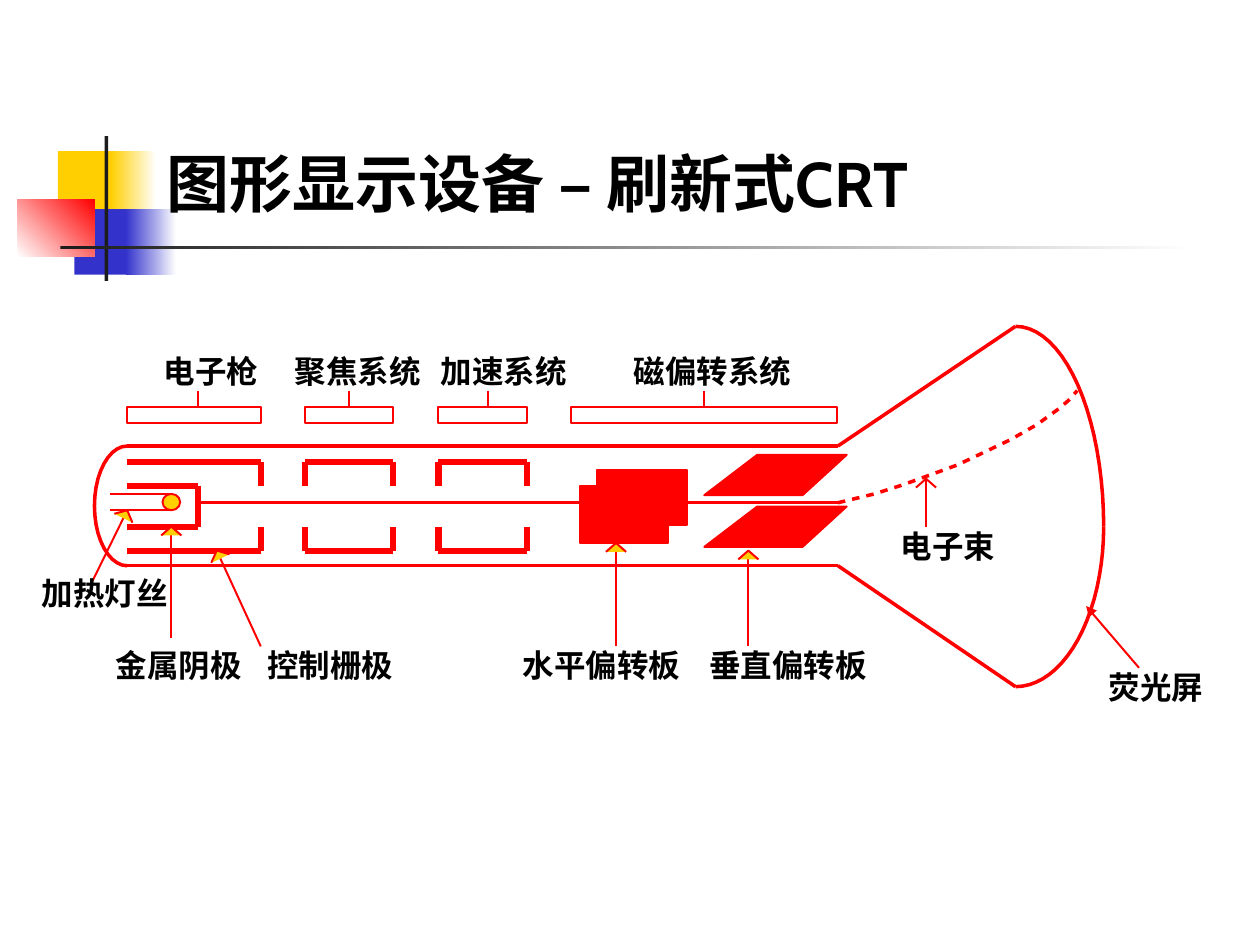
import math

import pptx
import pptx.dml.color
import pptx.enum.dml
import pptx.enum.shapes
import pptx.enum.text
import pptx.util
from lxml import etree
from pptx.oxml.ns import qn

RED = pptx.dml.color.RGBColor(0xFF, 0x00, 0x00)
YELLOW = pptx.dml.color.RGBColor(0xFF, 0xCF, 0x01)
BLUE = pptx.dml.color.RGBColor(0x33, 0x33, 0xCC)
CHARCOAL = pptx.dml.color.RGBColor(0x1C, 0x1C, 0x1C)
WHITE = pptx.dml.color.RGBColor(0xFF, 0xFF, 0xFF)
BLACK = pptx.dml.color.RGBColor(0x00, 0x00, 0x00)

CJK_FONT = "Noto Sans CJK SC"
CM_PER_INCH = 2.54
THIN, MEDIUM, THICK = 1.13, 2, 3.5

TITLE = [("图形显示设备 ", "Cabin"), ("– ", "Arial"), ("刷新式CRT", "Cabin")]
DECORATION = [
    ((0.46, 1.2, 0.48, 0.52), (YELLOW,), 0),
    ((0.88, 1.2, 0.36, 0.52), (YELLOW, WHITE), 0),
    ((0.59, 1.66, 0.46, 0.52), (BLUE,), 0),
    ((1, 1.66, 0.4, 0.52), (BLUE, WHITE), 0),
    ((0.14, 1.58, 0.61, 0.46), (WHITE, RED), 45),
    ((0.83, 1.08, 0.03, 1.15), (CHARCOAL,), 0),
    ((0.48, 1.95, 9, 0.03), (CHARCOAL, WHITE), 0),
]
LABELS = [
    ("电子枪", 1.3, 2.79), ("聚焦系统", 2.34, 2.79),
    ("加速系统", 3.5, 2.79), ("磁偏转系统", 5.03, 2.79),
    ("加热灯丝", 0.33, 4.56), ("金属阴极", 0.92, 5.13),
    ("控制栅极", 2.12, 5.13), ("水平偏转板", 4.15, 5.13),
    ("垂直偏转板", 5.63, 5.13), ("电子束", 7.15, 4.18), ("荧光屏", 8.8, 5.3),
]
SECTIONS = [(1.01, 2.07, 1.57), (2.42, 3.12, 2.77), (3.48, 4.18, 3.87), (4.53, 6.64, 5.59)]
ELECTRODES = [(1.01, 2.07, (2.07,)), (2.42, 3.12, (2.42, 3.12)), (3.48, 4.18, (3.48, 4.18))]
POINTERS = [
    ((1.01, 4.05), (0.73, 4.62), YELLOW),
    ((1.36, 4.18), (1.36, 5.06), YELLOW),
    ((1.72, 4.37), (2.07, 5.13), YELLOW),
    ((4.89, 4.31), (4.89, 5.13), YELLOW),
    ((5.94, 4.37), (5.94, 5.13), YELLOW),
    ((7.35, 3.8), (7.35, 4.18), None),
]
BEAM = [
    (6.65, 3.99), (6.94, 3.92), (7.16, 3.85), (7.38, 3.77), (7.6, 3.69),
    (7.81, 3.59), (8.02, 3.49), (8.23, 3.37), (8.41, 3.24), (8.49, 3.17), (8.55, 3.1),
]

TUBE_LEFT, TUBE_RIGHT = 1.01, 6.65
TUBE_TOP, TUBE_BOTTOM, AXIS = 3.54, 4.49, 3.99
CONE_X, CONE_TOP, CONE_BOTTOM = 8.06, 2.59, 5.45
SCREEN_MIDDLE, SCREEN_DEPTH = 4.18, 0.7


def length(inches):
    return pptx.util.Cm(inches * CM_PER_INCH)


def paint(shape, fill=None, line=None, weight=THIN):
    shape.shadow.inherit = False
    if fill is None:
        shape.fill.background()
    else:
        shape.fill.solid()
        shape.fill.fore_color.rgb = fill
    if line is None:
        shape.line.fill.background()
    else:
        shape.line.color.rgb = line
        shape.line.width = pptx.util.Pt(weight)
    return shape


def add_block(page, at, kind=pptx.enum.shapes.MSO_SHAPE.RECTANGLE, **look):
    return paint(page.shapes.add_shape(kind, *map(length, at)), **look)


def add_line(page, start, end, weight=MEDIUM):
    line = page.shapes.add_connector(
        pptx.enum.shapes.MSO_CONNECTOR.STRAIGHT, *map(length, (*start, *end)))
    line.line.color.rgb = RED
    line.line.width = pptx.util.Pt(weight)
    etree.SubElement(line._element.spPr, qn("a:effectLst"))
    return line


def add_outline(page, points, closed=False, **look):
    places = [(length(x), length(y)) for x, y in points]
    builder = page.shapes.build_freeform(*places[0])
    builder.add_line_segments(places[1:], close=closed)
    return paint(builder.convert_to_shape(), line=RED, **look)


def arc(center_x, center_y, radius_x, radius_y, start, end, steps=20):
    angles = [math.radians(start + (end - start) * step / steps) for step in range(steps + 1)]
    return [(center_x + radius_x * math.cos(angle), center_y + radius_y * math.sin(angle))
            for angle in angles]


def add_pointer(page, tip, tail, fill, depth=0.07, half_width=0.08):
    add_line(page, tip, tail, THIN)
    span = math.dist(tip, tail)
    along_x, along_y = (tail[0] - tip[0]) / span, (tail[1] - tip[1]) / span
    right, left = [
        (tip[0] + depth * along_x + side * along_y, tip[1] + depth * along_y - side * along_x)
        for side in (half_width, -half_width)]
    add_outline(page, [right, tip, left], fill=fill)


def add_text(page, spans, *, at, size, align=None, anchor=None, margins=(0, 0), wrap=False):
    box = page.shapes.add_textbox(*map(length, at))
    frame = box.text_frame
    frame.word_wrap = wrap
    if not wrap:
        frame.auto_size = pptx.enum.text.MSO_AUTO_SIZE.SHAPE_TO_FIT_TEXT
    frame.vertical_anchor = anchor
    frame.margin_left = frame.margin_right = length(margins[0])
    frame.margin_top = frame.margin_bottom = length(margins[1])
    para = frame.paragraphs[0]
    para.alignment = align
    for text, font in spans:
        span = para.add_run()
        span.text = text
        span.font.name = font
        span.font.size = pptx.util.Pt(size)
        span.font.bold = True
        span.font.color.rgb = BLACK
        etree.SubElement(span.font._element, qn("a:ea"), typeface=CJK_FONT)


def draw_decoration(page):
    for at, colors, angle in DECORATION:
        block = add_block(page, at, fill=colors[0])
        if len(colors) > 1:
            block.fill.gradient()
            block.fill.gradient_angle = angle
            for stop, color in zip(block.fill.gradient_stops, colors):
                stop.color.rgb = color


def draw_tube(page):
    for wall, rim in ((TUBE_TOP, CONE_TOP), (TUBE_BOTTOM, CONE_BOTTOM)):
        add_line(page, (TUBE_LEFT, wall), (TUBE_RIGHT, wall))
        add_line(page, (TUBE_RIGHT, wall), (CONE_X, rim))
        turn = -90 if rim < SCREEN_MIDDLE else 90
        add_outline(page, arc(CONE_X, SCREEN_MIDDLE, SCREEN_DEPTH,
                              abs(rim - SCREEN_MIDDLE), turn, 0), weight=MEDIUM)
    add_outline(page, arc(TUBE_LEFT, (TUBE_TOP + TUBE_BOTTOM) / 2, 0.26,
                          (TUBE_BOTTOM - TUBE_TOP) / 2, 270, 90), weight=MEDIUM)


def draw_gun(page):
    for y in (3.92, 4.05):
        add_line(page, (0.87, y), (1.36, y), THIN)
    add_block(page, (1.29, 3.92, 0.14, 0.13), pptx.enum.shapes.MSO_SHAPE.OVAL,
              fill=YELLOW, line=RED)
    for y in (3.86, 4.18):
        add_line(page, (TUBE_LEFT, y), (1.57, y), THICK)
    add_line(page, (1.57, 3.86), (1.57, 4.18), THICK)
    add_line(page, (1.57, AXIS), (TUBE_RIGHT, AXIS))
    for left, right, ends in ELECTRODES:
        for rail, tip in ((3.67, 3.86), (4.37, 4.18)):
            add_line(page, (left, rail), (right, rail), THICK)
            for x in ends:
                add_line(page, (x, rail), (x, tip), THICK)


def draw_deflection(page):
    for at in ((4.6, 3.86, 0.7, 0.45), (4.74, 3.73, 0.71, 0.44)):
        add_block(page, at, fill=RED, line=RED)
    for top in (3.61, 4.02):
        bottom = top + 0.32
        add_outline(page, [(6.37, bottom), (6.72, top), (6.01, top), (5.59, bottom)],
                    closed=True, fill=RED)
    beam = add_outline(page, BEAM, weight=MEDIUM)
    beam.line.dash_style = pptx.enum.dml.MSO_LINE.DASH
    preset = beam._element.spPr.find(".//" + qn("a:prstDash"))
    custom = etree.Element(qn("a:custDash"))
    etree.SubElement(custom, qn("a:ds"), d="215000", sp="200000")
    preset.getparent().replace(preset, custom)


def draw_labels(page):
    for left, right, stem in SECTIONS:
        add_block(page, (left, 3.23, right - left, 0.13), line=RED)
        add_line(page, (stem, 3.1), (stem, 3.23), THIN)
    for tip, tail, fill in POINTERS:
        add_pointer(page, tip, tail, fill)
    screen_arrow = add_line(page, (9.04, 5.3), (8.62, 4.81), THIN)
    etree.SubElement(screen_arrow.line._get_or_add_ln(), qn("a:tailEnd"), type="triangle")
    for text, left, top in LABELS:
        add_text(page, [(text, CJK_FONT)], at=(left, top, 0.25 * len(text), 0.3), size=18,
                 align=pptx.enum.text.PP_ALIGN.CENTER)


def main():
    deck = pptx.Presentation()
    deck.slide_width, deck.slide_height = length(10), length(7.5)
    page = deck.slides.add_slide(deck.slide_layouts[6])
    for draw in (draw_decoration, draw_tube, draw_gun, draw_deflection, draw_labels):
        draw(page)
    add_text(page, TITLE, at=(1.22, 0.6, 8.52, 1.2), size=36, margins=(0.1, 0.05),
             anchor=pptx.enum.text.MSO_ANCHOR.BOTTOM, wrap=True)
    deck.save("out.pptx")


if __name__ == "__main__":
    main()
